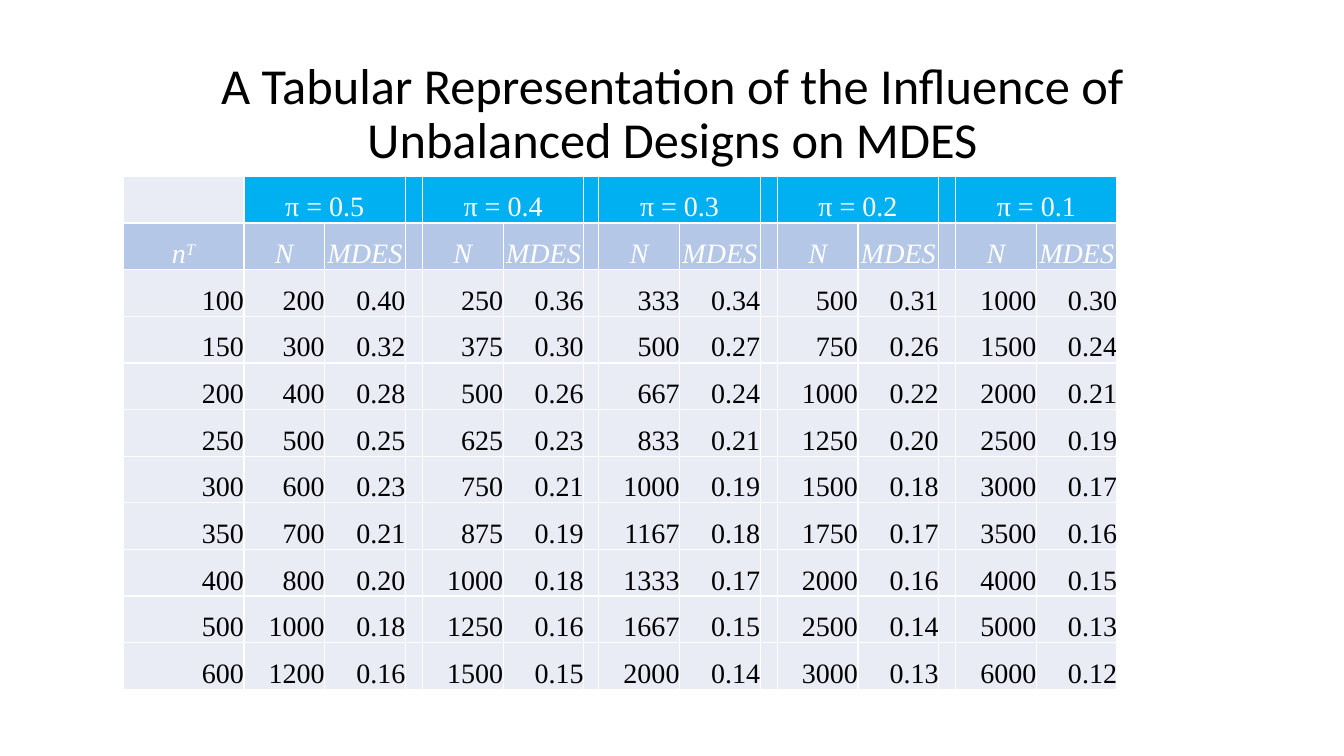
"""Build a slide with a table of MDES values for unbalanced designs."""
from lxml import etree
from pptx import Presentation
from pptx.dml.color import RGBColor
from pptx.enum.text import MSO_ANCHOR, MSO_AUTO_SIZE, PP_ALIGN
from pptx.oxml.ns import qn
from pptx.util import Inches, Pt

TITLE = "A Tabular Representation of the Influence of Unbalanced Designs on MDES"
PROPORTIONS = [0.5, 0.4, 0.3, 0.2, 0.1]
MDES_BY_TREATED = {
    100: ["0.40", "0.36", "0.34", "0.31", "0.30"],
    150: ["0.32", "0.30", "0.27", "0.26", "0.24"],
    200: ["0.28", "0.26", "0.24", "0.22", "0.21"],
    250: ["0.25", "0.23", "0.21", "0.20", "0.19"],
    300: ["0.23", "0.21", "0.19", "0.18", "0.17"],
    350: ["0.21", "0.19", "0.18", "0.17", "0.16"],
    400: ["0.20", "0.18", "0.17", "0.16", "0.15"],
    500: ["0.18", "0.16", "0.15", "0.14", "0.13"],
    600: ["0.16", "0.15", "0.14", "0.13", "0.12"],
}

WHITE = RGBColor(0xFF, 0xFF, 0xFF)
BLACK = RGBColor(0x00, 0x00, 0x00)
BRIGHT_BLUE = RGBColor(0x00, 0xB0, 0xF0)
SOFT_BLUE = RGBColor(0xB4, 0xC7, 0xE7)
PALE_BLUE = RGBColor(0xE9, 0xEB, 0xF5)
CENTER, RIGHT = PP_ALIGN.CENTER, PP_ALIGN.RIGHT
MIDDLE, BOTTOM = MSO_ANCHOR.MIDDLE, MSO_ANCHOR.BOTTOM
NO_AUTOFIT = MSO_AUTO_SIZE.NONE

TITLE_BOX = (0.92, 0.42, 11.5, 1.45)
TABLE_LEFT, TABLE_TOP, TABLE_HEIGHT = 1.22, 1.75, 5.09
LABEL_WIDTH, VALUE_WIDTH = 1.2, 0.8
GAP_WIDTHS = [0.17, 0.15, 0.17, 0.17]
GROUP_STEP = 3


def table_rows():
    """Return the rows of cell texts, with an empty gap between groups."""
    groups, measures = [""], ["n"]
    for proportion in PROPORTIONS:
        groups += [f"π = {proportion}", "", ""]
        measures += ["N", "MDES", ""]
    rows = [groups[:-1], measures[:-1]]
    for treated, effects in MDES_BY_TREATED.items():
        row = [str(treated)]
        for proportion, effect in zip(PROPORTIONS, effects):
            row += [str(round(treated / proportion)), effect, ""]
        rows.append(row[:-1])
    return rows


def add_borders(cell):
    """Give a cell thin white borders on all sides."""
    properties = cell._tc.get_or_add_tcPr()
    for side in ("lnL", "lnR", "lnT", "lnB"):
        line = etree.SubElement(properties, qn(f"a:{side}"), w=str(Pt(1)))
        fill = etree.SubElement(line, qn("a:solidFill"))
        etree.SubElement(fill, qn("a:srgbClr"), val=str(WHITE))


def format_cell(cell, text, row, column):
    """Fill one cell and set its text according to its row."""
    add_borders(cell)
    cell.fill.solid()
    header_fill = {0: BRIGHT_BLUE if column else PALE_BLUE, 1: SOFT_BLUE}
    cell.fill.fore_color.rgb = header_fill.get(row, PALE_BLUE)
    cell.margin_left = cell.margin_right = cell.margin_top = cell.margin_bottom = 0
    cell.vertical_anchor = BOTTOM
    if not text:
        return
    para = cell.text_frame.paragraphs[0]
    para.text = text
    para.alignment = CENTER if row < 2 else RIGHT
    if text == "n":
        superscript = para.add_run()
        superscript.text = "T"
        superscript._r.get_or_add_rPr().set("baseline", "30000")
    for span in para.runs:
        span.font.name = "Times New Roman"
        span.font.size = Pt(20)
        span.font.italic = row == 1
        span.font.color.rgb = WHITE if row < 2 else BLACK


def add_title(page):
    """Place and format the slide title."""
    title = page.shapes.title
    title.left, title.top, title.width, title.height = map(Inches, TITLE_BOX)
    frame = title.text_frame
    frame.text = TITLE
    frame.word_wrap = True
    frame.auto_size = NO_AUTOFIT
    frame.vertical_anchor = MIDDLE
    para = frame.paragraphs[0]
    para.alignment = CENTER
    para.line_spacing = 0.9
    font = para.runs[0].font
    font.name, font.size, font.color.rgb = "Calibri", Pt(36), BLACK


def add_mdes_table(page):
    """Add the table with one pair of columns for each proportion."""
    rows = table_rows()
    widths = [LABEL_WIDTH, VALUE_WIDTH, VALUE_WIDTH]
    for gap in GAP_WIDTHS:
        widths += [gap, VALUE_WIDTH, VALUE_WIDTH]
    area = map(Inches, (TABLE_LEFT, TABLE_TOP, sum(widths), TABLE_HEIGHT))
    table = page.shapes.add_table(len(rows), len(widths), *area).table
    table.first_row = table.horz_banding = False
    for column, width in zip(table.columns, widths):
        column.width = Inches(width)
    for row, texts in enumerate(rows):
        for column, text in enumerate(texts):
            format_cell(table.cell(row, column), text, row, column)
    for first in range(1, len(widths), GROUP_STEP):
        table.cell(0, first).merge(table.cell(0, first + 1))


def main():
    deck = Presentation()
    deck.slide_width, deck.slide_height = Inches(13.33), Inches(7.5)
    page = deck.slides.add_slide(deck.slide_layouts[5])
    add_title(page)
    add_mdes_table(page)
    deck.save("out.pptx")


if __name__ == "__main__":
    main()
